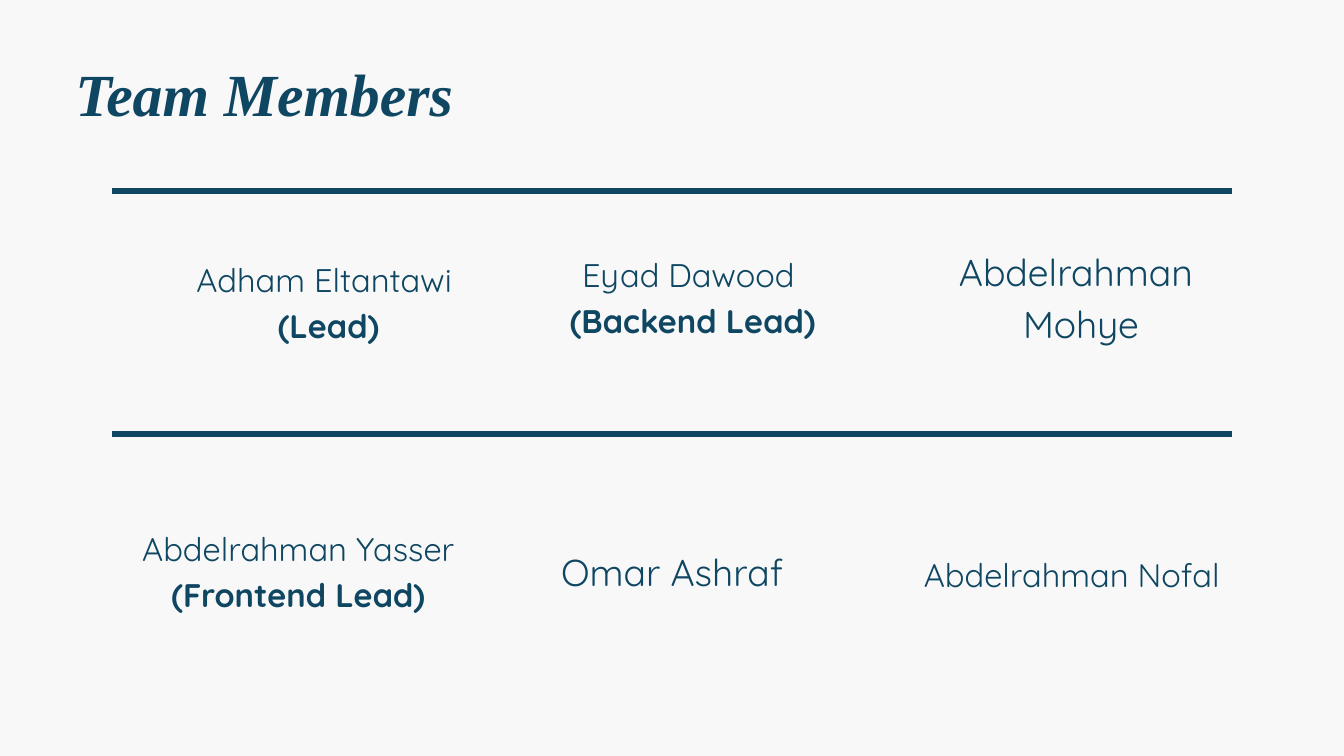
from dataclasses import dataclass

import pptx
import pptx.dml.color
import pptx.enum.shapes
import pptx.enum.text
import pptx.oxml
import pptx.oxml.ns
import pptx.util
from pptx.util import Inches

NAVY = pptx.dml.color.RGBColor(0x0F, 0x46, 0x62)
PAPER = pptx.dml.color.RGBColor(0xF8, 0xF8, 0xF8)
LINE_SPACING = 1.4
MEMBER_WIDTH = 5.84
RULE_TOPS = (2.84, 6.46)


@dataclass
class Member:
    lines: tuple[str, ...]
    left: float
    top: float
    size: int = 35
    has_role: bool = False  # the last line is a bold role


MEMBERS = (
    Member(("Adham Eltantawi ", "(Lead)"), 1.97, 3.77, has_role=True),
    Member(("Eyad Dawood ", "(Backend Lead)"), 7.39, 3.7, has_role=True),
    Member(("Abdelrahman", " Mohye"), 13.09, 3.6, size=40),
    Member(("Abdelrahman Yasser", "(Frontend Lead)"), 1.52, 7.77, has_role=True),
    Member(("Omar Ashraf",), 7.08, 8.06, size=40),
    Member(("Abdelrahman Nofal",), 13.03, 8.16),
)


def format_frame(frame: pptx.text.text.TextFrame) -> None:
    frame.margin_left = frame.margin_right = 0
    frame.margin_top = frame.margin_bottom = 0
    frame.word_wrap = True
    frame.vertical_anchor = pptx.enum.text.MSO_ANCHOR.TOP
    frame.auto_size = pptx.enum.text.MSO_AUTO_SIZE.SHAPE_TO_FIT_TEXT


def add_run(paragraph: pptx.text.text._Paragraph, text: str, font_name: str,
            size: int, bold: bool = False, italic: bool = False) -> None:
    paragraph.line_spacing = pptx.util.Pt(size * LINE_SPACING)
    run = paragraph.add_run()
    run.text = text
    run.font.name = font_name
    run.font.size = pptx.util.Pt(size)
    run.font.bold = bold
    run.font.italic = italic
    run.font.color.rgb = NAVY


def add_rule(slide: pptx.slide.Slide, top: float) -> None:
    rule = slide.shapes.add_connector(
        pptx.enum.shapes.MSO_CONNECTOR.STRAIGHT,
        Inches(1.67), Inches(top), Inches(18.33), Inches(top))
    rule.line.color.rgb = NAVY
    rule.line.width = pptx.util.Pt(6)
    properties = rule._element.spPr
    properties.append(pptx.oxml.parse_xml(
        f"<a:effectLst {pptx.oxml.ns.nsdecls('a')}/>"))


def add_title(slide: pptx.slide.Slide, text: str) -> None:
    title = slide.shapes.title
    title.left, title.top = Inches(1.12), Inches(0.66)
    title.width, title.height = Inches(8.8), Inches(1.19)
    format_frame(title.text_frame)
    paragraph = title.text_frame.paragraphs[0]
    paragraph.alignment = pptx.enum.text.PP_ALIGN.LEFT
    add_run(paragraph, text, "Times New Roman", 64, bold=True, italic=True)


def add_member(slide: pptx.slide.Slide, member: Member) -> None:
    height = len(member.lines) * member.size * LINE_SPACING / 72
    box = slide.shapes.add_textbox(Inches(member.left), Inches(member.top),
                                   Inches(MEMBER_WIDTH), Inches(height))
    frame = box.text_frame
    format_frame(frame)
    for index, line in enumerate(member.lines):
        paragraph = frame.add_paragraph() if index else frame.paragraphs[0]
        paragraph.alignment = pptx.enum.text.PP_ALIGN.CENTER
        add_run(paragraph, line, "Quicksand", member.size,
                bold=member.has_role and index > 0)


def main() -> None:
    presentation = pptx.Presentation()
    presentation.slide_width = Inches(20)
    presentation.slide_height = Inches(11.25)
    slide = presentation.slides.add_slide(presentation.slide_layouts[5])

    # Background
    slide.background.fill.solid()
    slide.background.fill.fore_color.rgb = PAPER

    # Rules above each row, title and team
    for top in RULE_TOPS:
        add_rule(slide, top)
    add_title(slide, "Team Members")
    for member in MEMBERS:
        add_member(slide, member)

    presentation.save("out.pptx")


if __name__ == "__main__":
    main()
